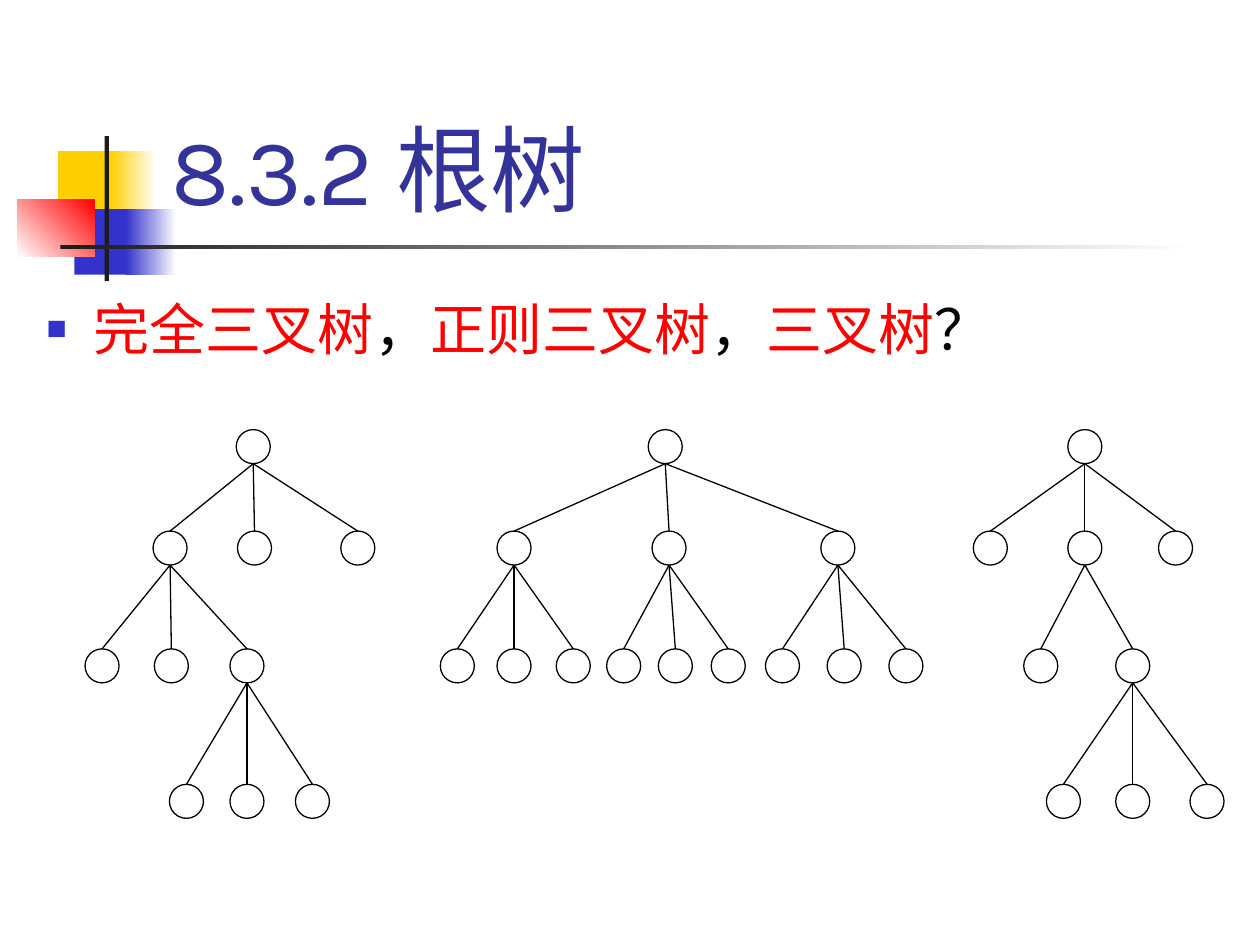
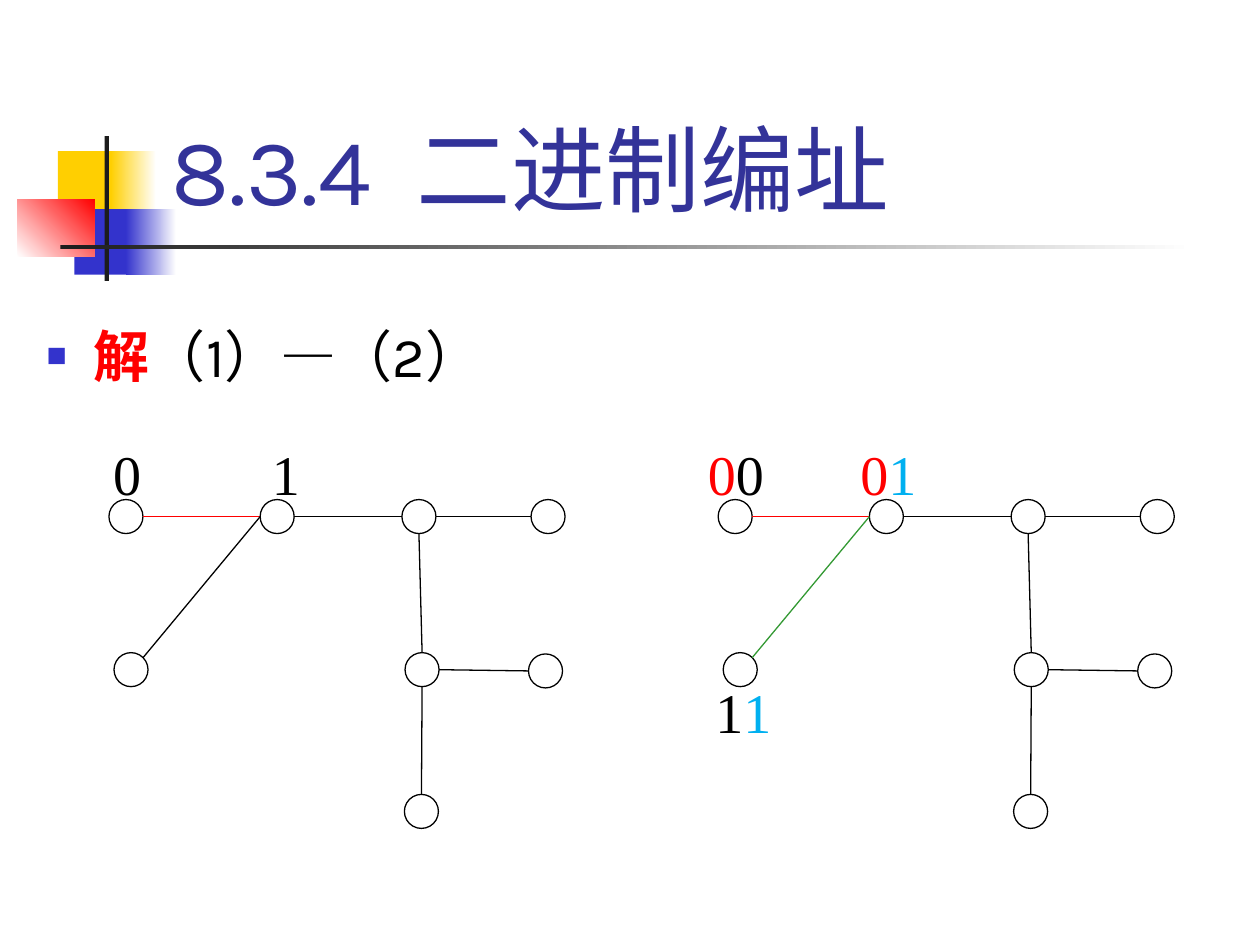
"""Build two slides on rooted trees and binary node codes."""
import dataclasses
import typing

import lxml.etree
import pptx
import pptx.dml.color
import pptx.enum.shapes
import pptx.enum.text
import pptx.oxml.ns
import pptx.shapes.autoshape
import pptx.slide
import pptx.util

COLS, ROWS = 100, 75
WIDTH, HEIGHT = pptx.util.Inches(10), pptx.util.Inches(7.5)
TOP, LEFT, BASE, RIGHT = range(4)
SHAPE = pptx.enum.shapes.MSO_SHAPE
Oval = pptx.shapes.autoshape.Shape


@dataclasses.dataclass(frozen=True)
class Theme:
    ink: str = "000000"
    paper: str = "FFFFFF"
    title: str = "333399"
    red: str = "FF0000"
    green: str = "339933"
    sky: str = "00B0F0"
    gold: str = "FFCF01"
    blue: str = "3333CC"
    coal: str = "1C1C1C"
    font: str = "Karla"
    digits: str = "Times New Roman"
    head: int = 54
    text: int = 32
    line: float = 0.75
    node: float = 2.7


THEME = Theme()


class Box(typing.NamedTuple):
    col: float
    row: float
    wide: float
    high: float


class Span(typing.NamedTuple):
    text: str
    color: str = THEME.ink
    bold: bool = False
    gap: float = 0


class Block(typing.NamedTuple):
    box: Box
    start: str
    end: str
    angle: int = 0


class Node(typing.NamedTuple):
    col: float
    kids: tuple["Node", ...] = ()


class Edge(typing.NamedTuple):
    start: str
    side: int
    end: str
    goal: int | None
    color: str = THEME.ink


class Label(typing.NamedTuple):
    box: Box
    spans: tuple[Span, ...]


HEAD = Box(12.6, 2.3, 85.2, 16)
BLOCKS = (
    Block(Box(4.6, 12, 4.8, 5.2), THEME.gold, THEME.gold),
    Block(Box(8.8, 12, 3.6, 5.2), THEME.gold, THEME.paper),
    Block(Box(5.9, 16.6, 4.6, 5.2), THEME.blue, THEME.blue),
    Block(Box(10, 16.6, 4, 5.2), THEME.blue, THEME.paper),
    Block(Box(1.4, 15.8, 6.1, 4.6), THEME.paper, THEME.red, 45),
    Block(Box(8.3, 10.8, 0.35, 11.5), THEME.coal, THEME.coal),
    Block(Box(4.8, 19.45, 90, 0.35), THEME.coal, THEME.paper),
)


def leaves(*cols: float) -> tuple[Node, ...]:
    return tuple(Node(col) for col in cols)


LEVELS = (35.45, 43.5, 52.85, 63.6)
TREES = (
    Node(20.1, (
        Node(13.5, (*leaves(8.1, 13.6), Node(19.6, leaves(14.8, 19.6, 24.8)))),
        *leaves(20.2, 28.4),
    )),
    Node(52.8, (
        Node(40.8, leaves(36.3, 40.8, 45.5)),
        Node(53.1, leaves(49.5, 53.6, 57.8)),
        Node(66.5, leaves(62.1, 67, 71.9)),
    )),
    Node(86.1, (
        Node(78.6),
        Node(86.1, (Node(82.6), Node(89.9, leaves(84.4, 89.9, 95.8)))),
        Node(93.3),
    )),
)

POINTS = {
    "a": (10, 41), "b": (22, 41), "c": (33.25, 41), "d": (43.5, 41),
    "e": (10.4, 53.15), "f": (33.5, 53.15), "g": (43.3, 53.25),
    "h": (33.45, 64.4),
}
EDGES = (
    Edge("a", RIGHT, "b", LEFT, THEME.red),
    Edge("b", RIGHT, "c", LEFT),
    Edge("c", RIGHT, "d", LEFT),
    Edge("c", BASE, "f", TOP),
    Edge("f", BASE, "h", TOP),
    Edge("f", RIGHT, "g", LEFT),
)
SHIFT = 48.35
CODES = (
    Label(Box(8, 34.4, 8.2, 7.6), (Span("0"),)),
    Label(Box(20.6, 34.4, 8.9, 7.6), (Span("1"),)),
)
PAIRS = (
    Label(Box(55.8, 53.3, 8.2, 7.6), (Span("1"), Span("1", THEME.sky))),
    Label(Box(55.2, 34.4, 8.8, 7.6), (Span("0", THEME.red), Span("0"))),
    Label(Box(67.3, 34.4, 8.8, 7.6), (Span("0", THEME.red), Span("1", THEME.sky))),
)


def across(col: float) -> int:
    return round(WIDTH * col / COLS)


def down(row: float) -> int:
    return round(HEIGHT * row / ROWS)


def place(box: Box) -> tuple[int, int, int, int]:
    return across(box.col), down(box.row), across(box.wide), down(box.high)


def paint(color: str) -> pptx.dml.color.RGBColor:
    return pptx.dml.color.RGBColor.from_string(color)


def write(frame, spans: typing.Iterable[Span], font: str, size: int):
    para = frame.paragraphs[0]
    para.alignment = pptx.enum.text.PP_ALIGN.LEFT
    para.space_before = pptx.util.Pt(0)
    para.font.name, para.font.size = font, pptx.util.Pt(size)
    for span in spans:
        run = para.add_run()
        run.text = span.text
        run.font.color.rgb = paint(span.color)
        run.font.bold = span.bold
        if span.gap:
            run._r.get_or_add_rPr().set("spc", str(round(span.gap * 100)))
    return para


def draw_shape(slide: pptx.slide.Slide, kind: SHAPE, box: Box, line: str | None) -> Oval:
    shape = slide.shapes.add_shape(kind, *place(box))
    shape.shadow.inherit = False
    shape.fill.solid()
    shape.fill.fore_color.rgb = paint(THEME.paper)
    if line:
        shape.line.color.rgb = paint(line)
        shape.line.width = pptx.util.Pt(THEME.line)
    else:
        shape.line.fill.background()
    return shape


def draw_block(slide: pptx.slide.Slide, block: Block) -> Oval:
    shape = draw_shape(slide, SHAPE.RECTANGLE, block.box, None)
    if block.start == block.end:
        shape.fill.fore_color.rgb = paint(block.start)
    else:
        shape.fill.gradient()
        shape.fill.gradient_angle = block.angle
        for stop, color in zip(shape.fill.gradient_stops, (block.start, block.end)):
            stop.color.rgb = paint(color)
    return shape


def draw_node(slide: pptx.slide.Slide, col: float, row: float) -> Oval:
    size = THEME.node
    box = Box(col - size / 2, row - size / 2, size, size)
    return draw_shape(slide, SHAPE.OVAL, box, THEME.ink)


def join(slide: pptx.slide.Slide, start: Oval, side: int, end: Oval,
         goal: int | None, color: str = THEME.ink) -> None:
    """Link two ovals, whose even sites are the four sides; no goal means the upper right rim."""
    reach = 0.5 + 0.5 ** 1.5
    tip = end.left + round(end.width * reach), end.top + round(end.height * (1 - reach))
    link = slide.shapes.add_connector(
        pptx.enum.shapes.MSO_CONNECTOR.STRAIGHT, start.left, start.top, *tip)
    ends = link.element.nvCxnSpPr.cNvCxnSpPr
    link.begin_connect(start, side)
    ends.stCxn.idx = 2 * side
    if goal is not None:
        link.end_connect(end, goal)
        ends.endCxn.idx = 2 * goal
    link.line.color.rgb = paint(color)
    link.line.width = pptx.util.Pt(THEME.line)
    lxml.etree.SubElement(link.element.spPr, pptx.oxml.ns.qn("a:effectLst"))


def draw_tree(slide: pptx.slide.Slide, node: Node, depth: int = 0) -> Oval:
    oval = draw_node(slide, node.col, LEVELS[depth])
    for kid in node.kids:
        join(slide, oval, BASE, draw_tree(slide, kid, depth + 1), TOP)
    return oval


def draw_graph(slide: pptx.slide.Slide, labels: tuple[Label, ...],
               shift: float, slant: str) -> None:
    for label in labels:
        shape = draw_shape(slide, SHAPE.RECTANGLE, label.box, THEME.paper)
        shape.text_frame.vertical_anchor = pptx.enum.text.MSO_ANCHOR.TOP
        write(shape.text_frame, label.spans, THEME.digits, THEME.text)
    ovals = {name: draw_node(slide, col + shift, row)
             for name, (col, row) in POINTS.items()}
    for edge in (*EDGES, Edge("b", LEFT, "e", None, slant)):
        join(slide, ovals[edge.start], edge.side, ovals[edge.end], edge.goal, edge.color)


def add_mark(para) -> None:
    props = para._p.get_or_add_pPr()
    tag = pptx.oxml.ns.qn
    tint = lxml.etree.SubElement(props, tag("a:buClr"))
    lxml.etree.SubElement(tint, tag("a:srgbClr"), val=THEME.blue)
    lxml.etree.SubElement(props, tag("a:buSzPct"), val="60000")
    lxml.etree.SubElement(props, tag("a:buChar"), char="■")


def add_page(deck, head: tuple[Span, ...], body: tuple[Span, ...],
             row: float, pitch: float) -> pptx.slide.Slide:
    slide = deck.slides.add_slide(deck.slide_layouts[1])
    title, text = slide.placeholders
    for holder, box in ((title, HEAD), (text, Box(2.7, row, 97.3, ROWS - row))):
        holder.left, holder.top, holder.width, holder.height = place(box)
    title.text_frame.vertical_anchor = pptx.enum.text.MSO_ANCHOR.BOTTOM
    write(title.text_frame, head, THEME.font, THEME.head)
    add_mark(text.text_frame.paragraphs[0])
    write(text.text_frame, body, THEME.font, THEME.text).line_spacing = pitch
    return slide


def main() -> None:
    deck = pptx.Presentation()
    deck.slide_width, deck.slide_height = WIDTH, HEIGHT

    trees = add_page(
        deck, (Span("8.3.2 根树", THEME.title),),
        (Span("完全三叉树", THEME.red), Span("，"), Span("正则三叉树", THEME.red),
         Span("，"), Span("三叉树", THEME.red), Span("？")), 20.2, 1.5)
    for block in BLOCKS:
        trees.slide_layout.shapes.element.append(draw_block(trees, block).element)
    for tree in TREES:
        draw_tree(trees, tree)

    codes = add_page(
        deck, (Span("8.3.4", THEME.title), Span(" ", THEME.title, gap=13),
               Span("二进制编址", THEME.title)),
        (Span("解", THEME.red, True), Span("（1）—（2）")), 19.7, 2)
    draw_graph(codes, CODES, 0, THEME.ink)
    draw_graph(codes, PAIRS, SHIFT, THEME.green)
    deck.save("out.pptx")


if __name__ == "__main__":
    main()
